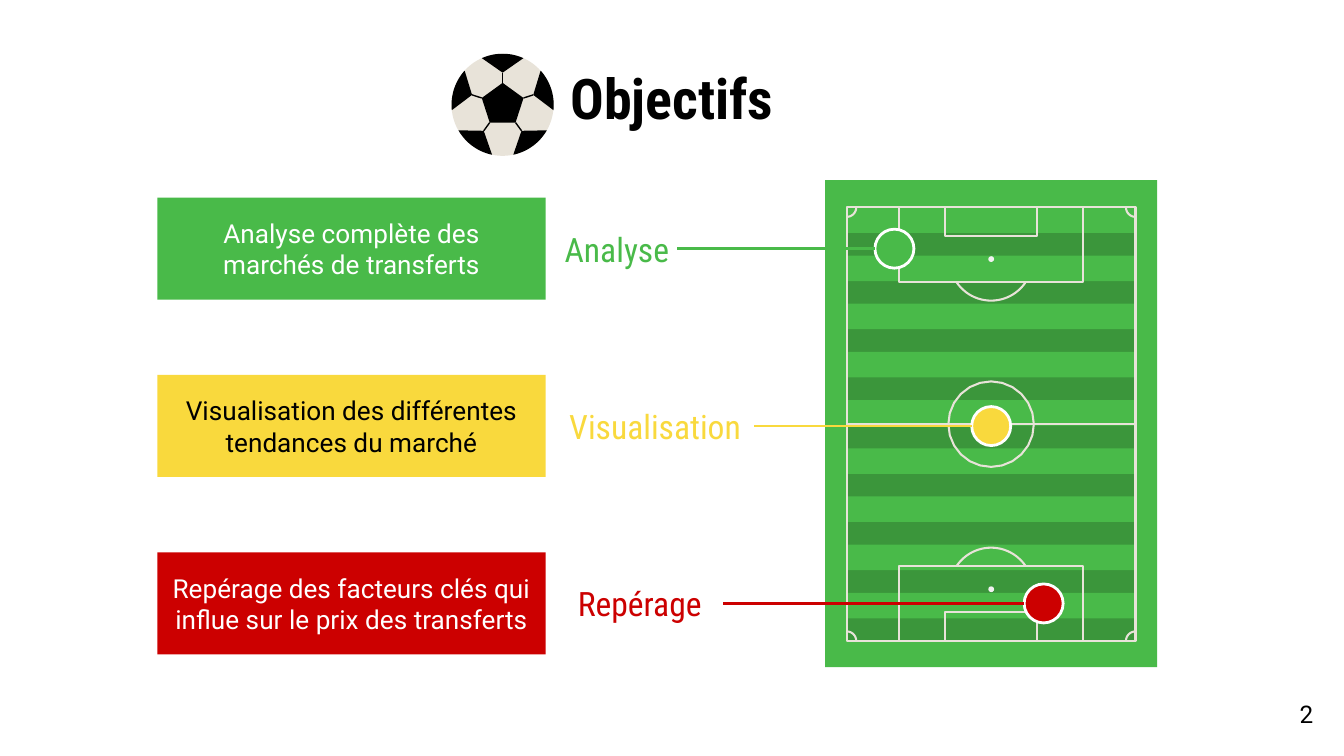
from math import cos, radians, sin

from lxml import etree
from pptx import Presentation
from pptx.dml.color import RGBColor
from pptx.enum.shapes import MSO_CONNECTOR, MSO_SHAPE
from pptx.enum.text import MSO_ANCHOR, PP_ALIGN
from pptx.oxml.ns import qn
from pptx.util import Inches, Pt

RECT, OVAL = MSO_SHAPE.RECTANGLE, MSO_SHAPE.OVAL
CURVE, STRAIGHT = MSO_CONNECTOR.CURVE, MSO_CONNECTOR.STRAIGHT
CENTER, RIGHT = PP_ALIGN.CENTER, PP_ALIGN.RIGHT
TOP, MIDDLE = MSO_ANCHOR.TOP, MSO_ANCHOR.MIDDLE

COLORS = {
    "green": "49BA49", "yellow": "F9D93D", "red": "CC0000", "black": "000000",
    "white": "FFFFFF", "cream": "E8E3D9", "spot": "F1F1F1",
}
BODY, HEADING = "Roboto", "Roboto Condensed"
COLUMNS, ROWS = 100, 56.25
UNIT = Inches(10) // COLUMNS

OBJECTIVES = [
    ("Analyse", "Analyse complète des marchés de transferts", "green", "white", 9.0, 66.55),
    ("Visualisation", "Visualisation des différentes tendances du marché", "yellow", "black", 14.7, 73.75),
    ("Repérage", "Repérage des facteurs clés qui influe sur le prix des transferts", "red", "white", 12.4, 77.65),
]


def grid(*lengths):
    """Turn grid units into whole EMU."""
    return [round(length * UNIT) for length in lengths]


def rgb(name):
    """Look up a named colour."""
    return RGBColor.from_string(COLORS[name])


def paint(shape, fill=None, line=None, width=1.5):
    """Set the fill and outline of a shape, and drop its shadow."""
    shape.shadow.inherit = False
    if fill:
        shape.fill.solid()
        shape.fill.fore_color.rgb = rgb(fill)
    else:
        shape.fill.background()
    if line:
        shape.line.color.rgb = rgb(line)
        shape.line.width = Pt(width)
    else:
        shape.line.fill.background()
    return shape


def add_block(slide, kind, box, fill, line=None):
    """Add a painted preset shape in a grid box."""
    return paint(slide.shapes.add_shape(kind, *grid(*box)), fill, line)


def add_disc(slide, x, y, radius, fill, line=None):
    """Add a circle around a centre point."""
    return add_block(slide, OVAL, (x - radius, y - radius, 2 * radius, 2 * radius), fill, line)


def add_line(slide, kind, start, end, color, width):
    """Add a connector between two grid points."""
    line = slide.shapes.add_connector(kind, *grid(*start, *end))
    line.line.color.rgb = rgb(color)
    line.line.width = Pt(width)
    etree.SubElement(line._element.spPr, qn("a:effectLst"))
    return line


def add_outline(slide, contours, fill=None, line=None, width=1.5):
    """Join (points, closed) contours into one freeform."""
    first = contours[0][0][0]
    builder = slide.shapes.build_freeform(*grid(*first))
    for number, (points, closed) in enumerate(contours):
        if number:
            builder.move_to(*grid(*points[0]))
        builder.add_line_segments([grid(*point) for point in points[1:]], close=closed)
    return paint(builder.convert_to_shape(), fill, line, width)


def arc(x, y, radius, start, end, steps=24):
    """List points along an arc, with angles in degrees."""
    angles = [radians(start + (end - start) * step / steps) for step in range(steps + 1)]
    return [(x + radius * cos(angle), y + radius * sin(angle)) for angle in angles]


def write(shape, text, font, size, color, align=CENTER, anchor=MIDDLE, side=1):
    """Write one paragraph into a shape and return it."""
    frame = shape.text_frame
    frame.word_wrap = True
    frame.vertical_anchor = anchor
    frame.margin_left, frame.margin_right = grid(side, side)
    frame.margin_top, frame.margin_bottom = grid(1, 1)
    paragraph = frame.paragraphs[0]
    paragraph.text = text
    paragraph.alignment = align
    paragraph.font.name = font
    paragraph.font.size = Pt(size)
    paragraph.font.color.rgb = rgb(color)
    return paragraph


def add_title(slide, box):
    """Write the slide title."""
    title = write(slide.shapes.add_textbox(*grid(*box)), "Objectifs", HEADING, 30, "black", anchor=TOP)
    title.font.bold = True
    title.line_spacing = 0.5


def add_pitch(slide, box):
    """Draw the striped football pitch with its markings."""
    left, top, width, height = box
    add_block(slide, RECT, box, "green")
    x, y, w, h = left + 0.065 * width, top + 0.056 * height, 0.87 * width, 0.89 * height
    shade = add_block(slide, RECT, (x, y, w, h), "black")
    color = shade._element.spPr.find(qn("a:solidFill"))[0]
    etree.SubElement(color, qn("a:alpha"), val="19000")
    for stripe in range(9):
        add_block(slide, RECT, (x, y + stripe * h / 9, w, 0.53 * h / 9), "green")

    middle, half = x + w / 2, y + h / 2
    contours = [
        ([(x, y), (x + w, y), (x + w, y + h), (x, y + h)], True),
        ([(x, half), (x + w, half)], False),
        (arc(middle, half, 0.148 * w, 0, 360), True),
    ]
    for goal_line, side in ((y, 1), (y + h, -1)):
        for half_width, depth in ((0.319, 0.26), (0.159, 0.1)):
            near, far = middle - half_width * w, middle + half_width * w
            edge = goal_line + side * depth * w
            contours.append(([(near, goal_line), (near, edge), (far, edge), (far, goal_line)], False))
        spot = goal_line + side * 0.179 * w
        contours.append((arc(middle, spot, 0.144 * w, side * 34.4, side * 145.6), False))
        contours.append((arc(x, goal_line, 0.033 * w, 0, side * 90), False))
        contours.append((arc(x + w, goal_line, 0.033 * w, side * 90, side * 180), False))
    add_outline(slide, contours, line="cream", width=1.1)
    for spot in (y + 0.179 * w, y + h - 0.179 * w):
        add_disc(slide, middle, spot, 0.01 * w, "spot")


def add_objective(slide, box, objective):
    """Place a card and its label, tied to a marker on the pitch."""
    label, description, color, ink, label_width, marker_x = objective
    left, top, width, height = box
    center = top + height / 2
    label_box = (left + width + 0.8, center - 1.1, label_width, 2.2)
    caption = slide.shapes.add_textbox(*grid(*label_box))
    write(caption, label, HEADING, 18, color, side=0)
    write(add_block(slide, RECT, box, color), description, BODY, 14, ink)
    add_disc(slide, marker_x, center, 1.45, color, "white")
    marker_edge = (marker_x - 1.45, center)
    label_edge = (label_box[0] + label_width, center)
    add_line(slide, CURVE, marker_edge, label_edge, color, 1.5).end_connect(caption, 3)


def add_ball(slide, box):
    """Draw a football from five-fold patches and seams."""
    left, top, size, _ = box
    radius = size / 2
    x, y = left + radius, top + radius
    add_disc(slide, x, y, radius, "cream")
    pentagon = arc(x, y, 0.43 * radius, -90, 270, 5)[:-1]
    tips = arc(x, y, 0.63 * radius, -90, 270, 5)[:-1]
    add_outline(slide, [(pentagon, True)], "black")
    for number, (corner, tip) in enumerate(zip(pentagon, tips)):
        angle = -90 + 72 * number
        add_line(slide, STRAIGHT, corner, tip, "black", 0.75)
        add_outline(slide, [(arc(x, y, radius, angle - 24, angle + 24) + [tip], True)], "black")


def add_page_number(slide, box):
    """Write the page number in the corner."""
    write(slide.shapes.add_textbox(*grid(*box)), "2", BODY, 13, "black", RIGHT, TOP)


def main():
    """Build and save the slide."""
    deck = Presentation()
    deck.slide_width, deck.slide_height = grid(COLUMNS, ROWS)
    slide = deck.slides.add_slide(deck.slide_layouts[6])
    add_title(slide, (7.8, 5.9, 84.4, 4.5))
    add_pitch(slide, (61.4, 13.4, 24.7, 36.25))
    for row, objective in enumerate(OBJECTIVES):
        add_objective(slide, (11.7, 14.7 + 13.2 * row, 28.9, 7.6), objective)
    add_ball(slide, (33.6, 4, 7.6, 7.6))
    add_page_number(slide, (92.7, 51, 6, 4.3))
    deck.save("out.pptx")


if __name__ == "__main__":
    main()
